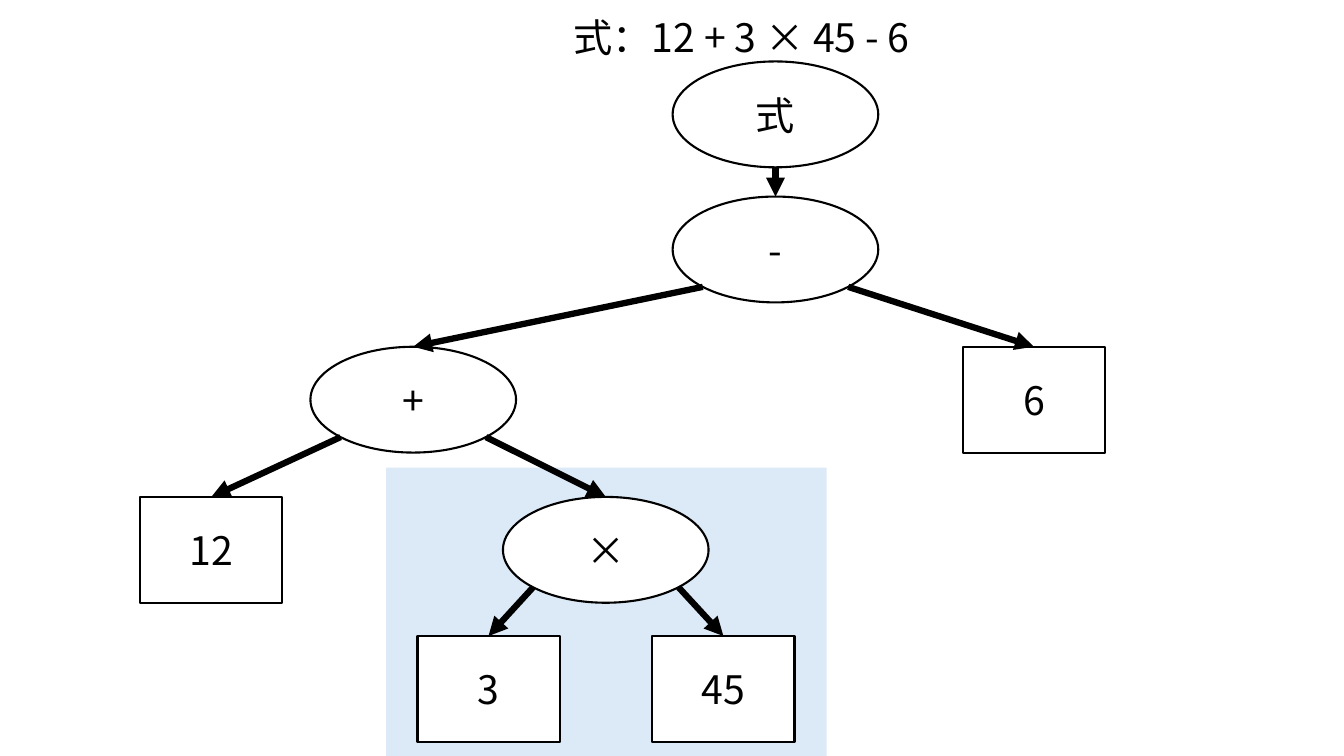
from math import sqrt

from pptx import Presentation
from pptx.dml.color import RGBColor
from pptx.enum.shapes import MSO_CONNECTOR, MSO_SHAPE
from pptx.enum.text import MSO_ANCHOR, MSO_AUTO_SIZE, PP_ALIGN
from pptx.oxml.ns import qn
from pptx.util import Inches, Pt

COLORS = {"ink": "000000", "paper": "FFFFFF", "highlight": "DCEAF7"}
FONT = "Noto Sans CJK JP"
COLS, ROWS = 40, 30
NODE_H = 4.2
LEVELS = [4.54, 9.9, 15.86, 21.82, 27.34]
KINDS = {
    "operator": (MSO_SHAPE.OVAL, 6.12),
    "number": (MSO_SHAPE.RECTANGLE, 4.23),
}
NODES = {
    "式": ("operator", 23.08, 0),
    "-": ("operator", 23.08, 1),
    "+": ("operator", 12.3, 2),
    "6": ("number", 30.77, 2),
    "12": ("number", 6.29, 3),
    "×": ("operator", 18.03, 3),
    "3": ("number", 14.54, 4),
    "45": ("number", 21.53, 4),
}
CHILDREN = {"式": "-", "-": "+ 6", "+": "12 ×", "×": "3 45"}


class TreeSlide:
    def __init__(self, prs):
        self.s = prs.slides.add_slide(prs.slide_layouts[5])
        self.col = prs.slide_width / COLS
        self.row = prs.slide_height / ROWS

    def box(self, x, y, w, h):
        return [round(v) for v in (x * self.col, y * self.row, w * self.col, h * self.row)]

    def color(self, name):
        return RGBColor.from_string(COLORS[name])

    def add_text(self, sp, text, align, anchor):
        tf = sp.text_frame
        tf.vertical_anchor = anchor
        p = tf.paragraphs[0]
        p.alignment = align
        r = p.add_run()
        r.text = text
        r.font.name = FONT
        r.font.size = Pt(28)
        r.font.color.rgb = self.color("ink")
        ea = r.font._element.makeelement(qn("a:ea"), {"typeface": FONT})
        r.font._element.find(qn("a:latin")).addnext(ea)
        return tf

    def title(self, text, x, y, w, h):
        sp = self.s.shapes.title
        sp.left, sp.top, sp.width, sp.height = self.box(x, y, w, h)
        tf = self.add_text(sp, text, PP_ALIGN.LEFT, MSO_ANCHOR.TOP)
        tf.word_wrap = False
        tf.auto_size = MSO_AUTO_SIZE.SHAPE_TO_FIT_TEXT

    def shape(self, kind, fill, x, y, w, h):
        sp = self.s.shapes.add_shape(kind, *self.box(x, y, w, h))
        sp.shadow.inherit = False
        sp.fill.solid()
        sp.fill.fore_color.rgb = self.color(fill)
        sp.line.fill.background()
        return sp

    def node(self, text, kind, x, level):
        preset, w = KINDS[kind]
        sp = self.shape(preset, "paper", x - w / 2, LEVELS[level] - NODE_H / 2, w, NODE_H)
        sp.line.color.rgb = self.color("ink")
        sp.line.width = Pt(1.5)
        self.add_text(sp, text, PP_ALIGN.CENTER, MSO_ANCHOR.MIDDLE)
        return sp

    def arrow(self, parent, child, side):
        reach = 1 / sqrt(2) if side else 1
        x = parent.left + parent.width / 2 * (1 + side * reach)
        y = parent.top + parent.height / 2 * (1 + reach)
        c = self.s.shapes.add_connector(
            MSO_CONNECTOR.STRAIGHT, round(x), round(y), child.left + child.width // 2, child.top
        )
        c.end_connect(child, 0)
        c.line.color.rgb = self.color("ink")
        c.line.width = Pt(4.5)
        ln = c.line._get_or_add_ln()
        ln.append(ln.makeelement(qn("a:tailEnd"), {"type": "triangle"}))
        ln.addnext(ln.makeelement(qn("a:effectLst"), {}))


def main():
    prs = Presentation()
    prs.slide_width, prs.slide_height = Inches(13.33), Inches(7.5)
    tree = TreeSlide(prs)
    tree.title("式：12 + 3 × 45 - 6", 16.77, 0.32, 11.46, 2.28)
    tree.shape(MSO_SHAPE.RECTANGLE, "highlight", 11.49, 18.56, 13.11, 11.44)
    nodes = {text: tree.node(text, *place) for text, place in NODES.items()}
    for parent, names in CHILDREN.items():
        children = names.split()
        sides = (-1, 1) if len(children) == 2 else (0,)
        for child, side in zip(children, sides):
            tree.arrow(nodes[parent], nodes[child], side)
    prs.save("out.pptx")


if __name__ == "__main__":
    main()
